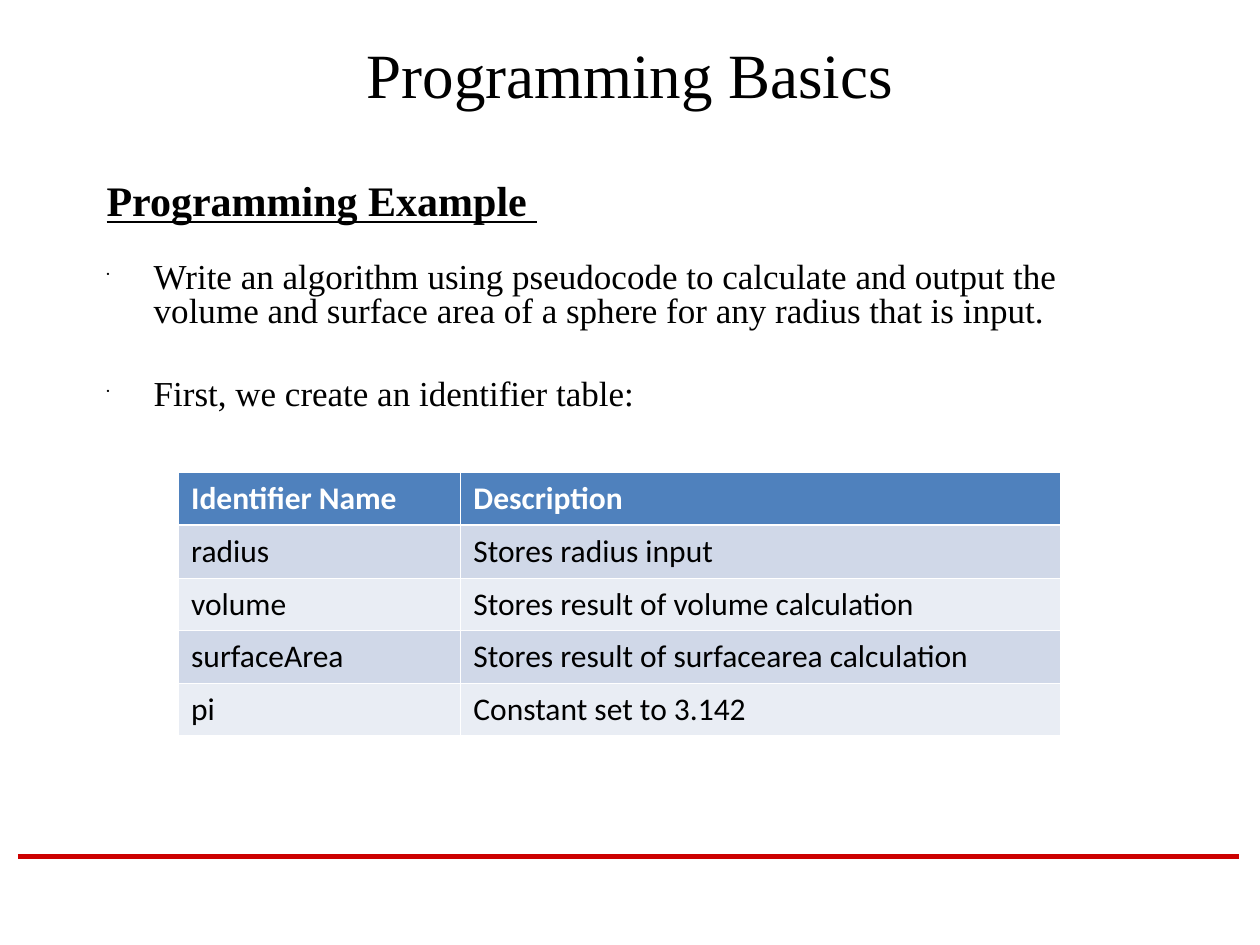
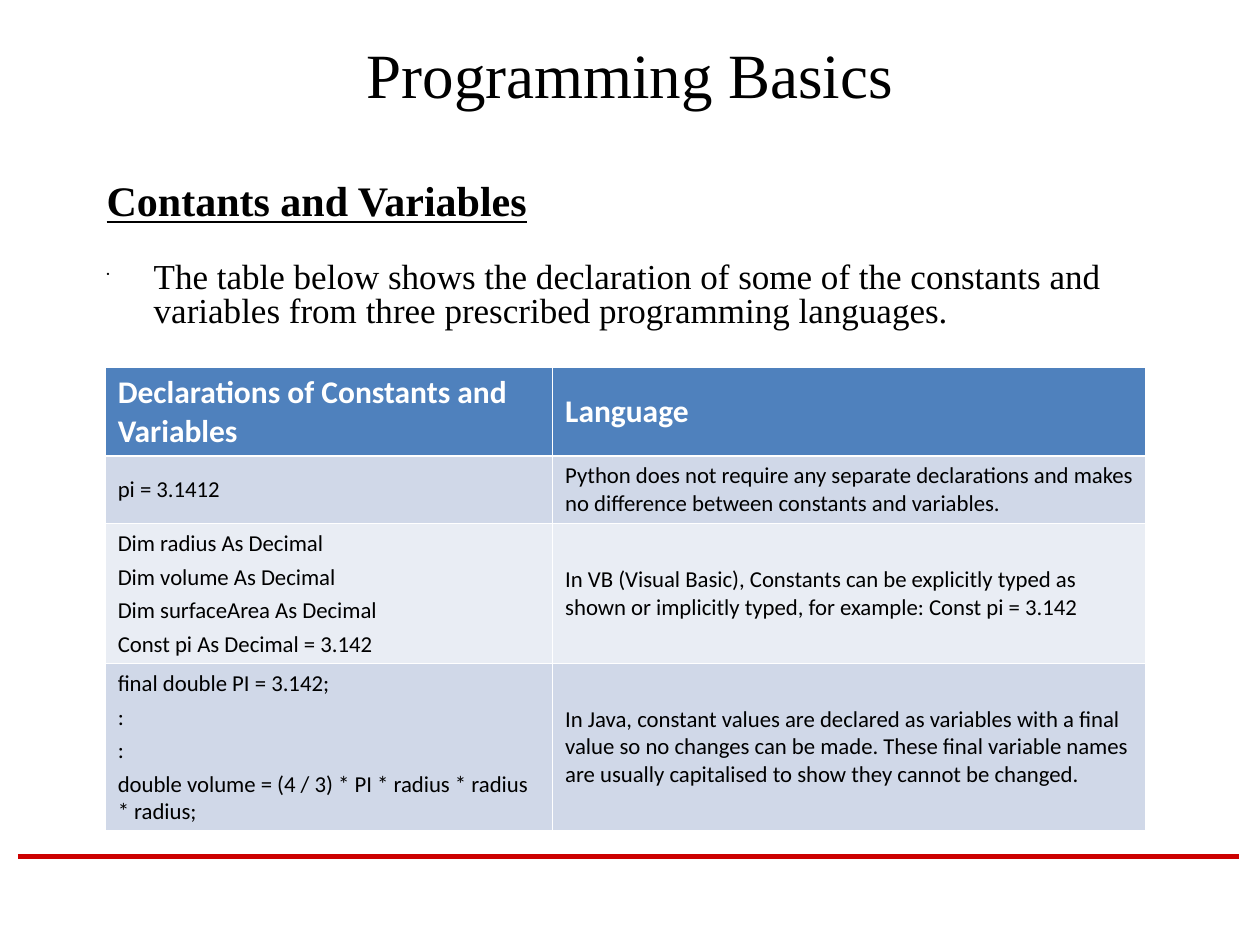
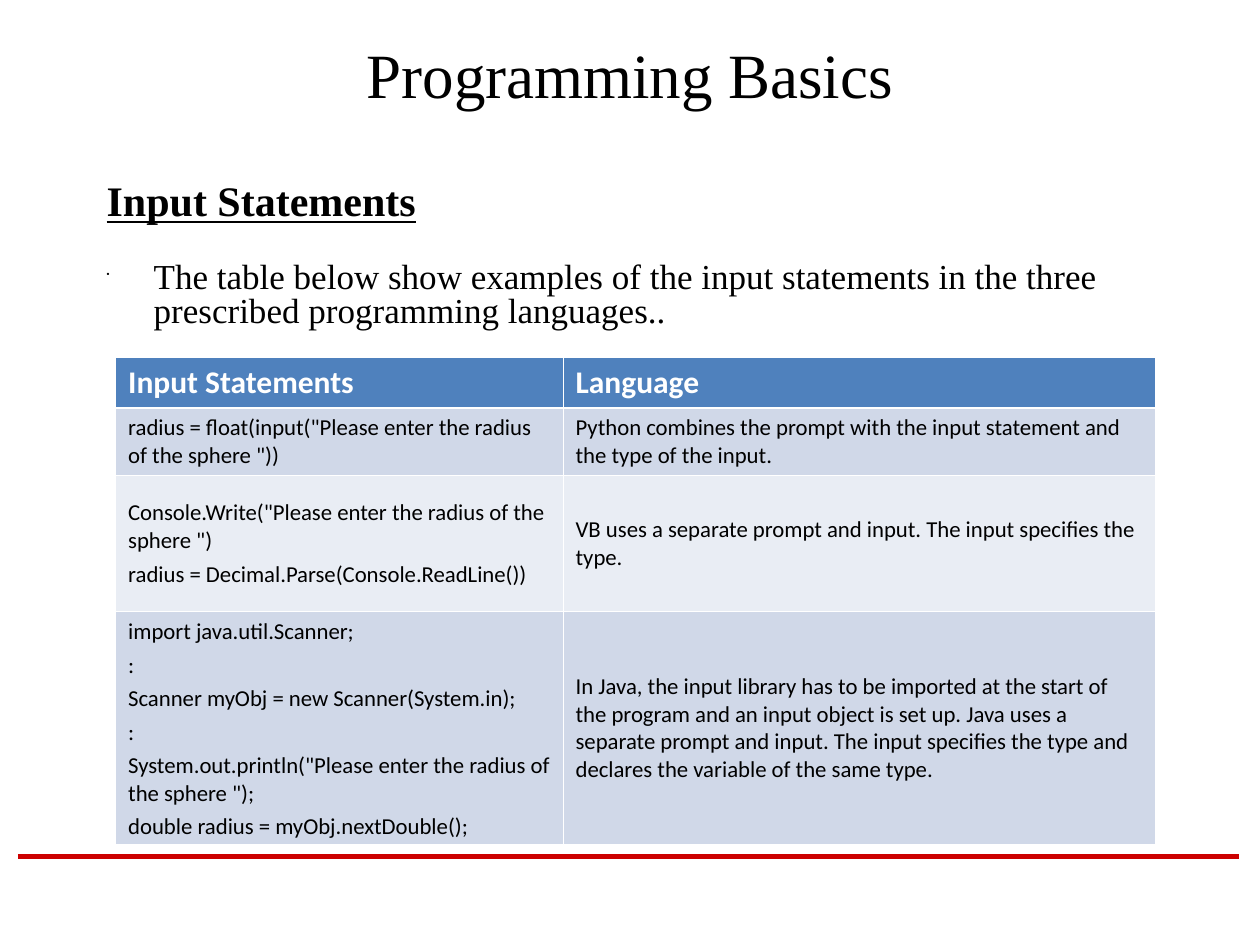
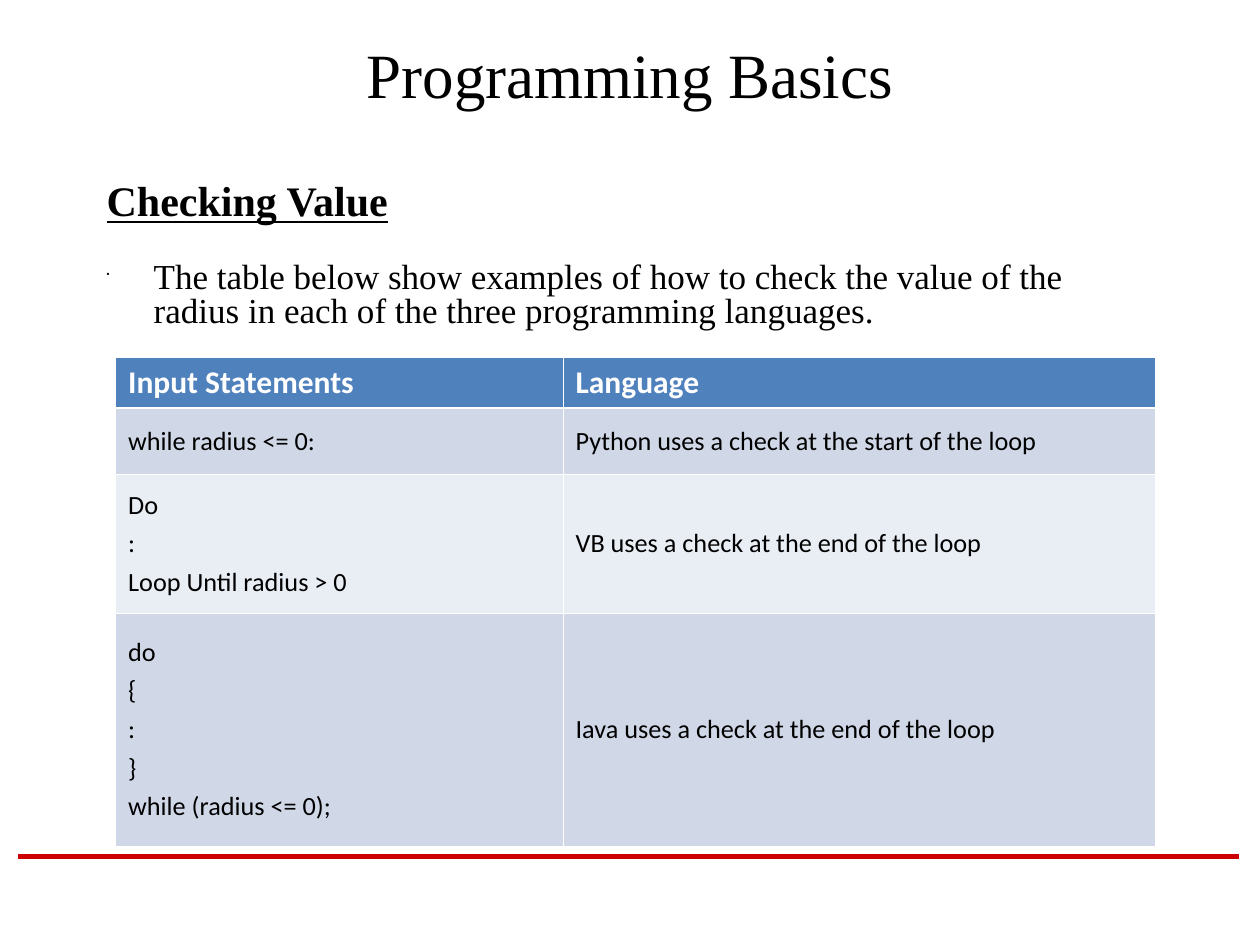
"""Build four slides of a programming basics lesson."""
from dataclasses import dataclass

from lxml import etree
from pptx import Presentation
from pptx.dml.color import RGBColor
from pptx.enum.shapes import MSO_CONNECTOR
from pptx.enum.text import MSO_ANCHOR, PP_ALIGN
from pptx.oxml.ns import qn
from pptx.util import Cm, Pt

STRAIGHT = MSO_CONNECTOR.STRAIGHT
TOP, MIDDLE = MSO_ANCHOR.TOP, MSO_ANCHOR.MIDDLE
LEFT, CENTER = PP_ALIGN.LEFT, PP_ALIGN.CENTER


@dataclass(frozen=True)
class Theme:
    """Colours, fonts and sizes shared by all slides."""

    ink: str = "000000"
    paper: str = "FFFFFF"
    rule: str = "CC0000"
    header: str = "4F81BD"
    bands: tuple[str, str] = ("D0D8E8", "E9EDF4")
    serif: str = "Times New Roman"
    sans: str = "Calibri"
    title_size: float = 36
    heading_size: float = 24
    bullet_size: float = 20
    header_size: float = 18
    bullet_scale: int = 25
    line_spacing: float = 0.8
    first_bullet_gap: float = 21.4
    bullet_gap: float = 28.4
    rule_width: float = 3
    thin_border: float = 0.45
    header_border: float = 1.47


THEME = Theme()


@dataclass(frozen=True)
class Grid:
    """A table: place, column widths and row heights in cm, and its text."""

    left: float
    top: float
    columns: tuple[float, ...]
    heights: tuple[float, ...]
    rows: tuple[tuple[str, str], ...]
    size: float
    gap: float


@dataclass(frozen=True)
class Lesson:
    """The content of one slide."""

    heading: str
    bullets: tuple[str, ...]
    grid: Grid


LESSONS = (
    Lesson(
        "Programming Example ",
        (
            "Write an algorithm using pseudocode to calculate and output the volume "
            "and surface area of a sphere for any radius that is input.",
            "First, we create an identifier table:",
        ),
        Grid(3.6, 9.53, (5.69, 12.09), (1.06,) * 5, (
            ("Identifier Name", "Description"),
            ("radius", "Stores radius input"),
            ("volume", "Stores result of volume calculation"),
            ("surfaceArea", "Stores result of surfacearea calculation"),
            ("pi", "Constant set to 3.142"),
        ), size=18, gap=4.5),
    ),
    Lesson(
        "Contants and Variables",
        (
            "The table below shows the declaration of some of the constants and "
            "variables from three prescribed programming languages.",
        ),
        Grid(2.12, 7.41, (9.02, 11.94), (1.78, 1.37, 2.82, 3.35), (
            ("Declarations of Constants and Variables", "Language"),
            ("pi = 3.1412",
             "Python does not require any separate declarations and makes no "
             "difference between constants and variables."),
            ("Dim radius As Decimal\nDim volume As Decimal\n"
             "Dim surfaceArea As Decimal\nConst pi As Decimal = 3.142",
             "In VB (Visual Basic), Constants can be explicitly typed as shown or "
             "implicitly typed, for example: Const pi = 3.142"),
            ("final double PI = 3.142;\n:\n:\n"
             "double volume = (4 / 3) * PI * radius * radius * radius;",
             "In Java, constant values are declared as variables with a final value "
             "so no changes can be made. These final variable names are usually "
             "capitalised to show they cannot be changed."),
        ), size=13, gap=3.3),
    ),
    Lesson(
        "Input Statements",
        (
            "The table below show examples of the input statements in the three "
            "prescribed programming languages..",
        ),
        Grid(2.33, 7.2, (9.02, 11.94), (1.02, 1.37, 2.74, 4.7), (
            ("Input Statements", "Language"),
            ('radius = float(input("Please enter the radius of the sphere "))',
             "Python combines the prompt with the input statement and the type of "
             "the input."),
            ('Console.Write("Please enter the radius of the sphere ")\n'
             "radius = Decimal.Parse(Console.ReadLine())",
             "VB uses a separate prompt and input. The input specifies the type."),
            ("import java.util.Scanner;\n:\n"
             "Scanner myObj = new Scanner(System.in);\n:\n"
             'System.out.println("Please enter the radius of the sphere ");\n'
             "double radius = myObj.nextDouble();",
             "In Java, the input library has to be imported at the start of the "
             "program and an input object is set up. Java uses a separate prompt "
             "and input. The input specifies the type and declares the variable of "
             "the same type."),
        ), size=13, gap=3.3),
    ),
    Lesson(
        "Checking Value",
        (
            "The table below show examples of how to check the value of the radius "
            "in each of the three programming languages.",
        ),
        Grid(2.33, 7.2, (9.02, 11.94), (1.02, 1.35, 2.79, 4.7), (
            ("Input Statements", "Language"),
            ("while radius <= 0:", "Python uses a check at the start of the loop"),
            ("Do\n:\nLoop Until radius > 0",
             "VB uses a check at the end of the loop"),
            ("do\n{\n:\n}\nwhile (radius <= 0);",
             "Iava uses a check at the end of the loop"),
        ), size=15, gap=3.7),
    ),
)


def write(para, text: str, *, size: float, font: str = THEME.serif,
          color: str = THEME.ink, bold: bool = False, underline: bool = False,
          align=LEFT, before: float = 0, spacing: float = 1) -> None:
    """Write text into a paragraph with the given format."""
    para.alignment = align
    para.line_spacing = spacing
    para.space_before = Pt(before)
    span = para.add_run()
    span.text = text
    span.font.name = font
    span.font.size = Pt(size)
    span.font.bold = bold
    span.font.underline = underline
    span.font.color.rgb = RGBColor.from_string(color)


def add_bullet(para) -> None:
    """Give a paragraph a hanging indent and a small round bullet."""
    properties = para._p.get_or_add_pPr()
    properties.set("marL", str(Cm(0.95)))
    properties.set("indent", str(-Cm(0.95)))
    color = etree.SubElement(properties, qn("a:buClr"))
    etree.SubElement(color, qn("a:srgbClr"), val=THEME.ink)
    etree.SubElement(properties, qn("a:buSzPct"), val=str(THEME.bullet_scale * 1000))
    etree.SubElement(properties, qn("a:buChar"), char="•")


def add_box(page, top: float, height: float, anchor):
    """Add a wrapping text box in the content column and return its frame."""
    box = page.shapes.add_textbox(Cm(1.9), Cm(top), Cm(21.6), Cm(height))
    box.text_frame.word_wrap = True
    box.text_frame.vertical_anchor = anchor
    return box.text_frame


def add_frame(page) -> None:
    """Draw the footer rule and the title shared by all slides."""
    rule = page.shapes.add_connector(STRAIGHT, Cm(0.36), Cm(17.27), Cm(24.97), Cm(17.27))
    rule.line.color.rgb = RGBColor.from_string(THEME.rule)
    rule.line.width = Pt(THEME.rule_width)
    etree.SubElement(rule._element.spPr, qn("a:effectLst"))
    title = add_box(page, 0.43, 2.11, MIDDLE)
    write(title.paragraphs[0], "Programming Basics", size=THEME.title_size, align=CENTER)


def add_body(page, lesson: Lesson) -> None:
    """Write the underlined heading and the bullets below it."""
    frame = add_box(page, 3.6, 11.43, TOP)
    write(frame.paragraphs[0], lesson.heading, size=THEME.heading_size, bold=True,
          underline=True, spacing=THEME.line_spacing)
    for index, text in enumerate(lesson.bullets):
        para = frame.add_paragraph()
        add_bullet(para)
        write(para, text, size=THEME.bullet_size, spacing=THEME.line_spacing,
              before=THEME.bullet_gap if index else THEME.first_bullet_gap)


def add_borders(cell, row: int) -> None:
    """Draw the cell's borders, heavier between the header and the body."""
    properties = cell._tc.get_or_add_tcPr()
    heavy = {0: "lnB", 1: "lnT"}.get(row)
    for side in ("lnL", "lnR", "lnT", "lnB"):
        width = THEME.header_border if side == heavy else THEME.thin_border
        line = etree.SubElement(properties, qn(f"a:{side}"), w=str(Pt(width)))
        fill = etree.SubElement(line, qn("a:solidFill"))
        etree.SubElement(fill, qn("a:srgbClr"), val=THEME.paper)


def fill_cell(cell, text: str, row: int, grid: Grid) -> None:
    """Style one cell and write its lines as paragraphs."""
    header = row == 0
    add_borders(cell, row)
    cell.fill.solid()
    cell.fill.fore_color.rgb = RGBColor.from_string(
        THEME.header if header else THEME.bands[(row - 1) % 2])
    cell.vertical_anchor = MIDDLE
    for index, line in enumerate(text.split("\n")):
        para = cell.text_frame.add_paragraph() if index else cell.text_frame.paragraphs[0]
        write(para, line, font=THEME.sans, bold=header,
              size=THEME.header_size if header else grid.size,
              color=THEME.paper if header else THEME.ink,
              before=grid.gap if index else 0)


def add_grid(page, grid: Grid) -> None:
    """Add the table of a slide."""
    table = page.shapes.add_table(
        len(grid.rows), len(grid.columns), Cm(grid.left), Cm(grid.top),
        Cm(sum(grid.columns)), Cm(sum(grid.heights))).table
    table.horz_banding = False
    for column, width in zip(table.columns, grid.columns):
        column.width = Cm(width)
    for row, (height, texts) in enumerate(zip(grid.heights, grid.rows)):
        table.rows[row].height = Cm(height)
        for column, text in enumerate(texts):
            fill_cell(table.cell(row, column), text, row, grid)


def main() -> None:
    """Build and save the deck."""
    deck = Presentation()
    deck.slide_width, deck.slide_height = Cm(25.4), Cm(19.05)
    blank = deck.slide_layouts[6]
    for lesson in LESSONS:
        page = deck.slides.add_slide(blank)
        add_frame(page)
        add_body(page, lesson)
        add_grid(page, lesson.grid)
    deck.save("out.pptx")


if __name__ == "__main__":
    main()
